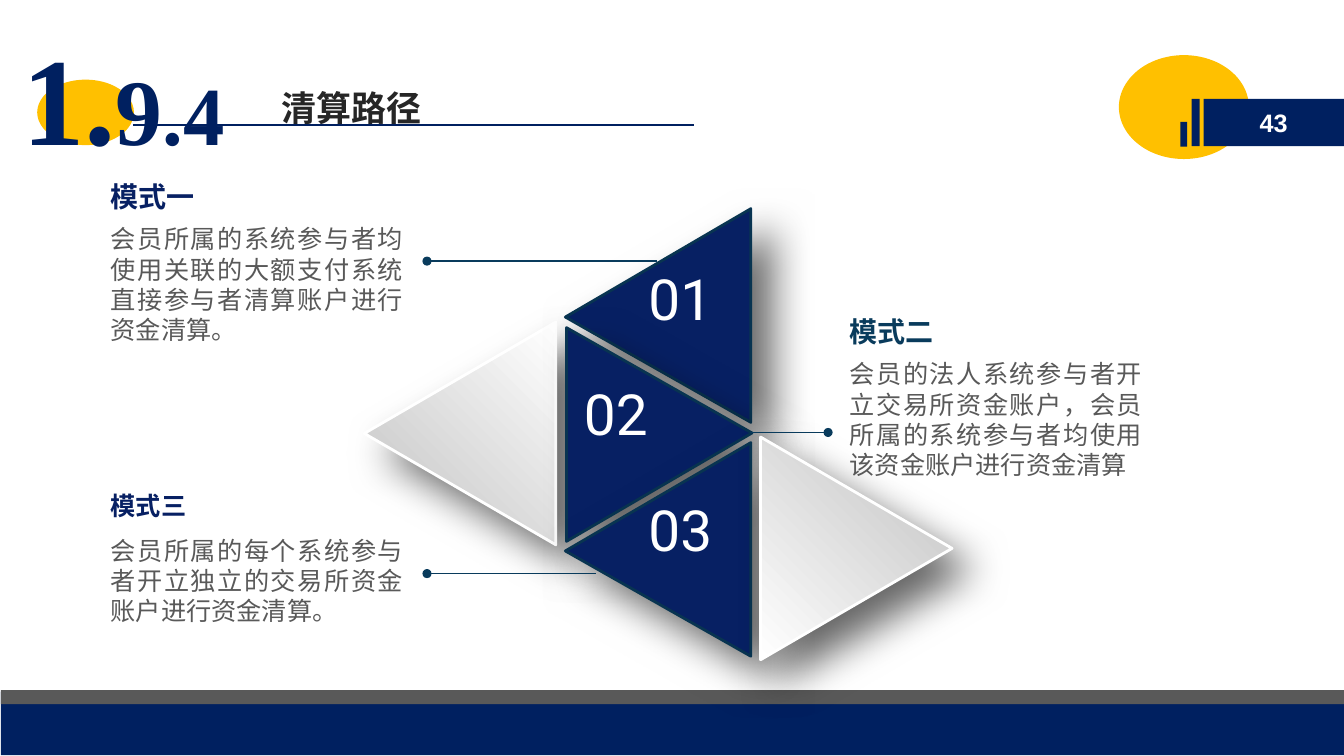
from dataclasses import dataclass
from typing import Optional

from lxml.etree import SubElement
from pptx import Presentation
from pptx.dml.color import RGBColor as RGB
from pptx.enum.shapes import MSO_CONNECTOR as Line, MSO_SHAPE as Shape
from pptx.enum.text import MSO_ANCHOR as Anchor, MSO_AUTO_SIZE as AutoSize, PP_ALIGN as Align
from pptx.oxml.ns import qn
from pptx.util import Pt


@dataclass(frozen=True)
class Theme:
    navy: str = "002060"
    deep: str = "072063"
    teal: str = "093B5C"
    edge: str = "083451"
    gold: str = "FFC000"
    gray: str = "595959"
    ink: str = "262626"
    white: str = "FFFFFF"
    silver: str = "BFBFBF"
    cjk: str = "Noto Sans CJK SC"
    serif: str = "Times New Roman"
    sans: str = "Arial"
    digits: str = "Roboto"
    title_size: float = 25
    body_size: float = 18
    digit_size: float = 40.5
    leading: float = 1.2


THEME = Theme()


@dataclass(frozen=True)
class Block:
    """A filled preset shape; lengths in points."""
    kind: Shape
    left: float
    top: float
    width: float
    height: float
    color: str


@dataclass(frozen=True)
class Triangle:
    left: float
    top: float
    rotation: int
    number: str = ""
    number_left: float = 0
    number_top: float = 0


@dataclass(frozen=True)
class Mode:
    heading: str
    body: str
    left: float
    heading_top: float
    body_top: float
    heading_size: float
    heading_color: str
    leader_start: float
    leader_end: float
    leader_y: float


BACKDROP = [
    Block(Shape.OVAL, 799.2, 39.4, 92.9, 74.2, THEME.gold),
    Block(Shape.RECTANGLE, 0.7, 494, 959.3, 45.4, THEME.navy),
    Block(Shape.RECTANGLE, 0.7, 493, 959.3, 10, THEME.gray),
    Block(Shape.RECTANGLE, 851.2, 70.6, 5.8, 33.8, THEME.navy),
    Block(Shape.RECTANGLE, 843.1, 87.1, 5, 17.6, THEME.navy),
    Block(Shape.OVAL, 26.6, 56.9, 69.1, 46.8, THEME.gold),
]
PAGE_TAG = Block(Shape.RECTANGLE, 859.7, 70.6, 100.3, 33.8, THEME.navy)

TRIANGLES = [
    Triangle(249.1, 241.2, 270),
    Triangle(393.8, 159.1, 270, "01", 449.3, 185),
    Triangle(394.6, 244.1, 90, "02", 403.2, 267.1),
    Triangle(393.8, 326.2, 270, "03", 449.3, 349.9),
    Triangle(532.1, 323.3, 90),
]

MODES = [
    Mode("模式一", "会员所属的系统参与者均使用关联的大额支付系统直接参与者清算账户进行资金清算。",
         72, 124.6, 156.2, 20, THEME.deep, 469.4, 305, 186.5),
    Mode("模式二", "会员的法人系统参与者开立交易所资金账户，会员所属的系统参与者均使用该资金账户进行资金清算",
         599.8, 221, 252.7, 20, THEME.teal, 536, 591.5, 308.9),
    Mode("模式三", "会员所属的每个系统参与者开立独立的交易所资金账户进行资金清算。",
         72, 347, 378.7, 18, THEME.deep, 425.5, 305, 409.7),
]
SECTION_NUMBER = [("1.", 89), ("9", 67), (".4", 59)]
DOT = 6.5


def style_text(frame, text: str, face: str, size: float, color: str, bold: bool = False,
               align: Align = Align.LEFT, leading: Optional[float] = None) -> None:
    frame.text = text
    frame.word_wrap = True
    paragraph = frame.paragraphs[0]
    paragraph.alignment = align
    if leading:
        paragraph.line_spacing = Pt(leading * size)
    font = paragraph.font
    font.name, font.size, font.bold = face, Pt(size), bold
    font.color.rgb = RGB.from_string(color)
    # East Asian characters take their face from a:ea
    SubElement(paragraph._p.pPr.find(qn("a:defRPr")), qn("a:ea"), typeface=face)


def add_text(slide, left: float, top: float, width: float, height: float, *args, **style):
    box = slide.shapes.add_textbox(Pt(left), Pt(top), Pt(width), Pt(height))
    style_text(box.text_frame, *args, **style)


def add_block(slide, block: Block):
    shape = slide.shapes.add_shape(block.kind, Pt(block.left), Pt(block.top),
                                   Pt(block.width), Pt(block.height))
    shape.shadow.inherit = False
    shape.fill.solid()
    shape.fill.fore_color.rgb = RGB.from_string(block.color)
    shape.line.fill.background()
    return shape


def add_rule(slide, start: float, end: float, y: float, color: str, weight: float) -> None:
    rule = slide.shapes.add_connector(Line.STRAIGHT, Pt(start), Pt(y), Pt(end), Pt(y))
    rule.line.color.rgb = RGB.from_string(color)
    rule.line.width = Pt(weight)
    SubElement(rule._element.spPr, qn("a:effectLst"))


def cast_shadow(shape) -> None:
    effects = shape._element.spPr.find(qn("a:effectLst"))
    shadow = SubElement(effects, qn("a:outerShdw"), blurRad=str(Pt(30)), dist=str(Pt(20)),
                        dir=str(45 * 60000), algn="tl", rotWithShape="0")
    black = SubElement(shadow, qn("a:srgbClr"), val="000000")
    SubElement(black, qn("a:alpha"), val="60000")


def add_triangle(slide, triangle: Triangle) -> None:
    """Numbered triangles are navy; the others are larger and silver."""
    width, height = (152.6, 132.5) if triangle.number else (159.1, 136.8)
    shape = add_block(slide, Block(Shape.ISOSCELES_TRIANGLE, triangle.left, triangle.top,
                                   width, height, THEME.deep))
    shape.rotation = triangle.rotation
    shape.line.width = Pt(2)
    if triangle.number:
        shape.adjustments[0] = 0.493
        shape.line.color.rgb = RGB.from_string(THEME.edge)
    else:
        shape.line.color.rgb = RGB.from_string(THEME.white)
        shape.fill.gradient()
        shape.fill.gradient_angle = 135
        for position, (stop, color) in enumerate(
                zip(shape.fill.gradient_stops, (THEME.white, THEME.silver))):
            stop.position = position
            stop.color.rgb = RGB.from_string(color)
    cast_shadow(shape)


def add_leader(slide, mode: Mode) -> None:
    add_rule(slide, mode.leader_start, mode.leader_end, mode.leader_y, THEME.teal, 1)
    add_block(slide, Block(Shape.OVAL, mode.leader_end - DOT / 2, mode.leader_y - DOT / 2,
                           DOT, DOT, THEME.teal))


def add_mode_text(slide, mode: Mode) -> None:
    add_text(slide, mode.left, mode.heading_top, 223.2, 31.7, mode.heading, THEME.cjk,
             mode.heading_size, mode.heading_color, bold=True, leading=THEME.leading)
    add_text(slide, mode.left, mode.body_top, 223.2, 94.3, mode.body, THEME.cjk,
             THEME.body_size, THEME.gray, align=Align.JUSTIFY, leading=THEME.leading)


def add_header(slide) -> None:
    tag = add_block(slide, PAGE_TAG)
    style_text(tag.text_frame, "43", THEME.sans, THEME.body_size, THEME.white, bold=True,
               align=Align.CENTER)
    tag.text_frame.vertical_anchor = Anchor.MIDDLE
    add_rule(slide, 95, 496, 89.3, THEME.navy, 1.5)

    title = slide.shapes.title
    title.left, title.top, title.width, title.height = Pt(193.7), Pt(58.3), Pt(547.2), Pt(37.4)
    style_text(title.text_frame, "清算路径", THEME.cjk, THEME.title_size, THEME.ink, bold=True,
               leading=THEME.leading)
    title.text_frame.auto_size = AutoSize.NONE
    title.text_frame.vertical_anchor = Anchor.TOP

    section = slide.shapes.add_textbox(Pt(7.2), Pt(10.8), Pt(223.2), Pt(116.6)).text_frame
    section.word_wrap = True
    section.margin_left = section.margin_right = Pt(8.64)
    section.margin_top = section.margin_bottom = Pt(4.32)
    paragraph = section.paragraphs[0]
    paragraph.font.name, paragraph.font.bold = THEME.serif, True
    paragraph.font.color.rgb = RGB.from_string(THEME.navy)
    for text, size in SECTION_NUMBER:
        run = paragraph.add_run()
        run.text, run.font.size = text, Pt(size)


def main() -> None:
    deck = Presentation()
    deck.slide_width, deck.slide_height = Pt(960), Pt(540)
    slide = deck.slides.add_slide(deck.slide_layouts[5])
    for block in BACKDROP:
        add_block(slide, block)
    add_header(slide)
    for triangle in TRIANGLES:
        add_triangle(slide, triangle)
    for mode in MODES:
        add_leader(slide, mode)
        add_mode_text(slide, mode)
    for triangle in TRIANGLES:
        if triangle.number:
            add_text(slide, triangle.number_left, triangle.number_top, 73.4, 69.8, triangle.number,
                     THEME.digits, THEME.digit_size, THEME.white, align=Align.CENTER)
    deck.save("out.pptx")


if __name__ == "__main__":
    main()
